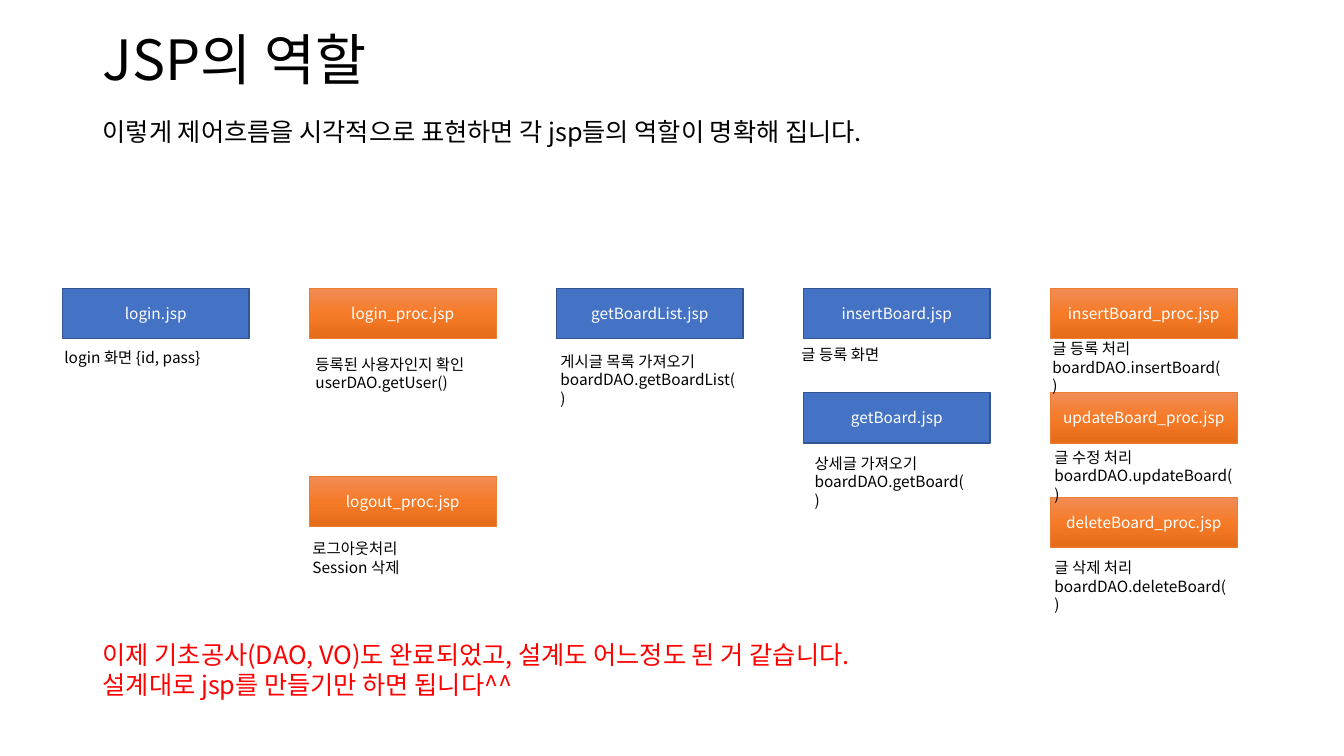
from copy import deepcopy
from dataclasses import dataclass
from typing import Any

from pptx import Presentation
from pptx.dml.color import RGBColor
from pptx.enum.shapes import MSO_SHAPE as Preset
from pptx.enum.text import MSO_ANCHOR as Anchor, MSO_AUTO_SIZE as AutoSize, PP_ALIGN as Align
from pptx.oxml.ns import qn
from pptx.shapes.autoshape import Shape
from pptx.slide import Slide
from pptx.text.text import TextFrame
from pptx.util import Inches, Pt


@dataclass(frozen=True)
class Theme:
    font: str = "Noto Sans CJK KR"
    title_size: float = 39.6
    body_size: float = 18
    label_size: float = 11
    ink: str = "000000"
    alert: str = "FF0000"
    on_box: str = "FFFFFF"
    view: str = "4472C4"
    view_line: str = "325491"
    process: tuple[str, ...] = ("F18C57", "F67B28", "E56C19")
    process_line: str = "ED7D31"


THEME = Theme()
GRID_LEFT, GRID_TOP = 0.62, 2.86
COLUMN_STEP, ROW_STEP = 2.45, 1.035
BOX_WIDTH, BOX_HEIGHT = 1.85, 0.5
TEXT_LEFT = 0.92


@dataclass(frozen=True)
class Page:
    """A JSP file on the grid; its note is placed relative to its box."""
    name: str
    column: int
    row: float
    note: tuple[str, ...]
    note_dx: float
    note_dy: float
    note_width: float

    @property
    def is_process(self) -> bool:
        return self.name.endswith("_proc.jsp")

    @property
    def left(self) -> float:
        return GRID_LEFT + self.column * COLUMN_STEP

    @property
    def top(self) -> float:
        return GRID_TOP + self.row * ROW_STEP


PAGES = [
    Page("login.jsp", 0, 0, ("login 화면 {id, pass}",), -0.08, 0.54, 1.59),
    Page("login_proc.jsp", 1, 0, ("등록된 사용자인지 확인", "userDAO.getUser()"), -0.04, 0.61, 1.85),
    Page("logout_proc.jsp", 1, 1.8, ("로그아웃처리", "Session 삭제"), -0.07, 0.58, 1.13),
    Page("getBoardList.jsp", 2, 0, ("게시글 목록 가져오기", "boardDAO.getBoardList()"), -0.06, 0.58, 1.94),
    Page("insertBoard.jsp", 3, 0, ("글 등록 화면",), -0.12, 0.51, 1.08),
    Page("getBoard.jsp", 3, 1, ("상세글 가져오기", "boardDAO.getBoard()"), 0.01, 0.56, 1.71),
    Page("insertBoard_proc.jsp", 4, 0, ("글 등록 처리", "boardDAO.insertBoard()"), -0.08, 0.46, 1.87),
    Page("updateBoard_proc.jsp", 4, 1, ("글 수정 처리", "boardDAO.updateBoard()"), -0.06, 0.5, 1.98),
    Page("deleteBoard_proc.jsp", 4, 2, ("글 삭제 처리", "boardDAO.deleteBoard()"), -0.06, 0.56, 1.92),
]


def apply_format(target: Any, values: dict[str, Any]) -> None:
    for attribute, value in values.items():
        setattr(target, attribute, value)


def write(frame: TextFrame, lines: tuple[str, ...], size: float, color: str,
          **paragraph_format: Any) -> None:
    for index, line in enumerate(lines):
        paragraph = frame.add_paragraph() if index else frame.paragraphs[0]
        apply_format(paragraph, paragraph_format)
        run = paragraph.add_run()
        run.text = line
        apply_format(run.font, {"size": Pt(size), "name": THEME.font})
        run.font.color.rgb = RGBColor.from_string(color)
        east_asian = deepcopy(run.font._element.find(qn("a:latin")))
        east_asian.tag = qn("a:ea")
        run.font._element.append(east_asian)


def add_note(slide: Slide, lines: tuple[str, ...], left: float, top: float,
             width: float, height: float, size: float, color: str) -> None:
    note = slide.shapes.add_textbox(Inches(left), Inches(top), Inches(width), Inches(height))
    apply_format(note.text_frame, {"word_wrap": True, "auto_size": AutoSize.SHAPE_TO_FIT_TEXT})
    write(note.text_frame, lines, size, color)


def fill_gradient(box: Shape, colors: tuple[str, ...]) -> None:
    """Spread the colours evenly from the top of the box to its bottom."""
    box.fill.gradient()
    box.fill.gradient_angle = 270
    stops = box._element.spPr.find(".//" + qn("a:gsLst"))
    while len(stops) < len(colors):
        stops.append(deepcopy(stops[0]))
    for index, (stop, color) in enumerate(zip(box.fill.gradient_stops, colors)):
        stop.position = index / (len(colors) - 1)
        stop.color.rgb = RGBColor.from_string(color)


def add_page_box(slide: Slide, page: Page) -> None:
    box = slide.shapes.add_shape(Preset.RECTANGLE, Inches(page.left), Inches(page.top),
                                 Inches(BOX_WIDTH), Inches(BOX_HEIGHT))
    box.shadow.inherit = False
    if page.is_process:
        fill_gradient(box, THEME.process)
    else:
        box.fill.solid()
        box.fill.fore_color.rgb = RGBColor.from_string(THEME.view)
    line_color = THEME.process_line if page.is_process else THEME.view_line
    box.line.color.rgb = RGBColor.from_string(line_color)
    box.line.width = Pt(0.5 if page.is_process else 1)
    apply_format(box.text_frame, {"word_wrap": True, "vertical_anchor": Anchor.MIDDLE})
    write(box.text_frame, (page.name,), THEME.label_size, THEME.on_box, alignment=Align.CENTER)


def add_page_note(slide: Slide, page: Page) -> None:
    add_note(slide, page.note, page.left + page.note_dx, page.top + page.note_dy,
             page.note_width, 0.11 + 0.18 * len(page.note), THEME.label_size, THEME.ink)


def add_title(slide: Slide, text: str) -> None:
    title = slide.shapes.title
    apply_format(title, {"left": Inches(TEXT_LEFT), "top": Inches(0.37),
                         "width": Inches(11.5), "height": Inches(0.5)})
    apply_format(title.text_frame, {"word_wrap": True, "auto_size": AutoSize.NONE,
                                    "vertical_anchor": Anchor.MIDDLE})
    write(title.text_frame, (text,), THEME.title_size, THEME.ink,
          alignment=Align.LEFT, line_spacing=0.9)


def main() -> None:
    deck = Presentation()
    apply_format(deck, {"slide_width": Inches(13.33), "slide_height": Inches(7.5)})
    slide = deck.slides.add_slide(deck.slide_layouts.get_by_name("Title Only"))
    add_title(slide, "JSP의 역할")
    add_note(slide, ("이렇게 제어흐름을 시각적으로 표현하면 각 jsp들의 역할이 명확해 집니다.",),
             TEXT_LEFT, 1.1, 8.61, 0.4, THEME.body_size, THEME.ink)
    # Notes may run over the box below, so every box goes behind every note.
    for add_part in (add_page_box, add_page_note):
        for page in PAGES:
            add_part(slide, page)
    add_note(slide, ("이제 기초공사(DAO, VO)도 완료되었고, 설계도 어느정도 된 거 같습니다.",
                     "설계대로 jsp를 만들기만 하면 됩니다^^"),
             TEXT_LEFT, 6.29, 8.42, 0.71, THEME.body_size, THEME.alert)
    deck.save("out.pptx")


if __name__ == "__main__":
    main()
